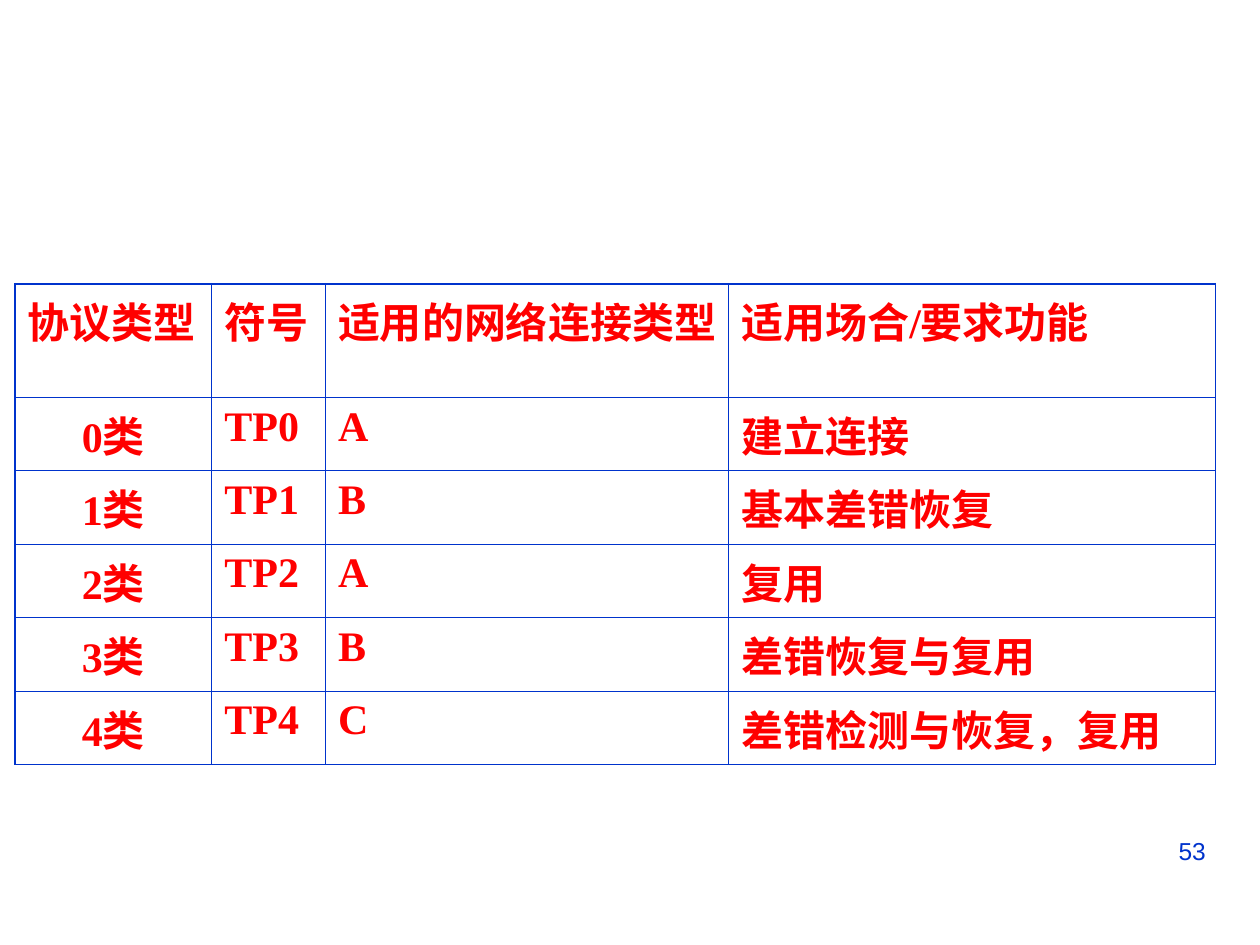
import pptx
import pptx.dml.color
import pptx.enum.text
import pptx.oxml.ns
import pptx.util
from lxml import etree

Cm, Pt = pptx.util.Cm, pptx.util.Pt
ALIGN = pptx.enum.text.PP_ALIGN

# Content
HEADER = ("协议类型", "符号", "适用的网络连接类型", "适用场合/要求功能")
CLASSES = [
    ("A", "建立连接"),
    ("B", "基本差错恢复"),
    ("A", "复用"),
    ("B", "差错恢复与复用"),
    ("C", "差错检测与恢复，复用"),
]
ROWS = [HEADER] + [(f"{i}类", f"TP{i}", network, use)
                   for i, (network, use) in enumerate(CLASSES)]
PAGE = "53"

THEME = {
    "text": "FF0000", "line": "0033CC",
    "table_font": "Times New Roman", "page_font": "Arial",
    "table_size": 24, "page_size": 14,
    "outer": 1.08, "inner": 0.45,
}

# Layout in centimetres
COL_WIDTHS = (3.97, 2.29, 8.13, 9.81)
HEADER_HEIGHT, ROW_HEIGHT = 2.29, 1.48
TABLE_LEFT, TABLE_TOP = 0.3, 5.72


def add_text(tf, text, *, font, size, color, bold=False, align=ALIGN.LEFT, before=0):
    p = tf.paragraphs[0]
    p.alignment = align
    p.space_before = Pt(before)
    r = p.add_run()
    r.text = text
    r.font.name, r.font.size, r.font.bold = font, Pt(size), bold
    r.font.color.rgb = pptx.dml.color.RGBColor.from_string(color)


def add_border(cell, side, width):
    qn = pptx.oxml.ns.qn
    tc_pr = cell._tc.get_or_add_tcPr()
    ln = etree.SubElement(tc_pr, qn(f"a:ln{side}"), w=str(Pt(width)))
    fill = etree.SubElement(ln, qn("a:solidFill"))
    etree.SubElement(fill, qn("a:srgbClr"), val=THEME["line"])


def add_protocol_table(slide):
    heights = [HEADER_HEIGHT] + [ROW_HEIGHT] * len(CLASSES)
    table = slide.shapes.add_table(
        len(ROWS), len(HEADER), Cm(TABLE_LEFT), Cm(TABLE_TOP),
        Cm(sum(COL_WIDTHS)), Cm(sum(heights))).table
    table.first_row = table.horz_banding = False
    for col, width in zip(table.columns, COL_WIDTHS):
        col.width = Cm(width)
    for row, height in zip(table.rows, heights):
        row.height = Cm(height)

    for i, values in enumerate(ROWS):
        for j, value in enumerate(values):
            cell = table.cell(i, j)
            centred = i > 0 and j == 0
            add_text(cell.text_frame, value, font=THEME["table_font"],
                     size=THEME["table_size"], color=THEME["text"], bold=True,
                     align=ALIGN.CENTER if centred else ALIGN.LEFT, before=6)
            # Heavier lines around the outside of the table
            on_edge = {"L": j == 0, "R": j == len(HEADER) - 1,
                       "T": i == 0, "B": i == len(ROWS) - 1}
            for side, outer in on_edge.items():
                add_border(cell, side, THEME["outer" if outer else "inner"])
            cell.fill.background()


def add_page_number(slide):
    sp = slide.shapes.add_textbox(Cm(18.21), Cm(16.72), Cm(6.35), Cm(1.32))
    tf = sp.text_frame
    tf.word_wrap = True
    add_text(tf, PAGE, font=THEME["page_font"], size=THEME["page_size"],
             color=THEME["line"], align=ALIGN.RIGHT)


def main():
    prs = pptx.Presentation()
    prs.slide_width, prs.slide_height = Cm(25.4), Cm(19.05)
    slide = prs.slides.add_slide(prs.slide_layouts[6])
    add_page_number(slide)
    add_protocol_table(slide)
    prs.save("out.pptx")


if __name__ == "__main__":
    main()
